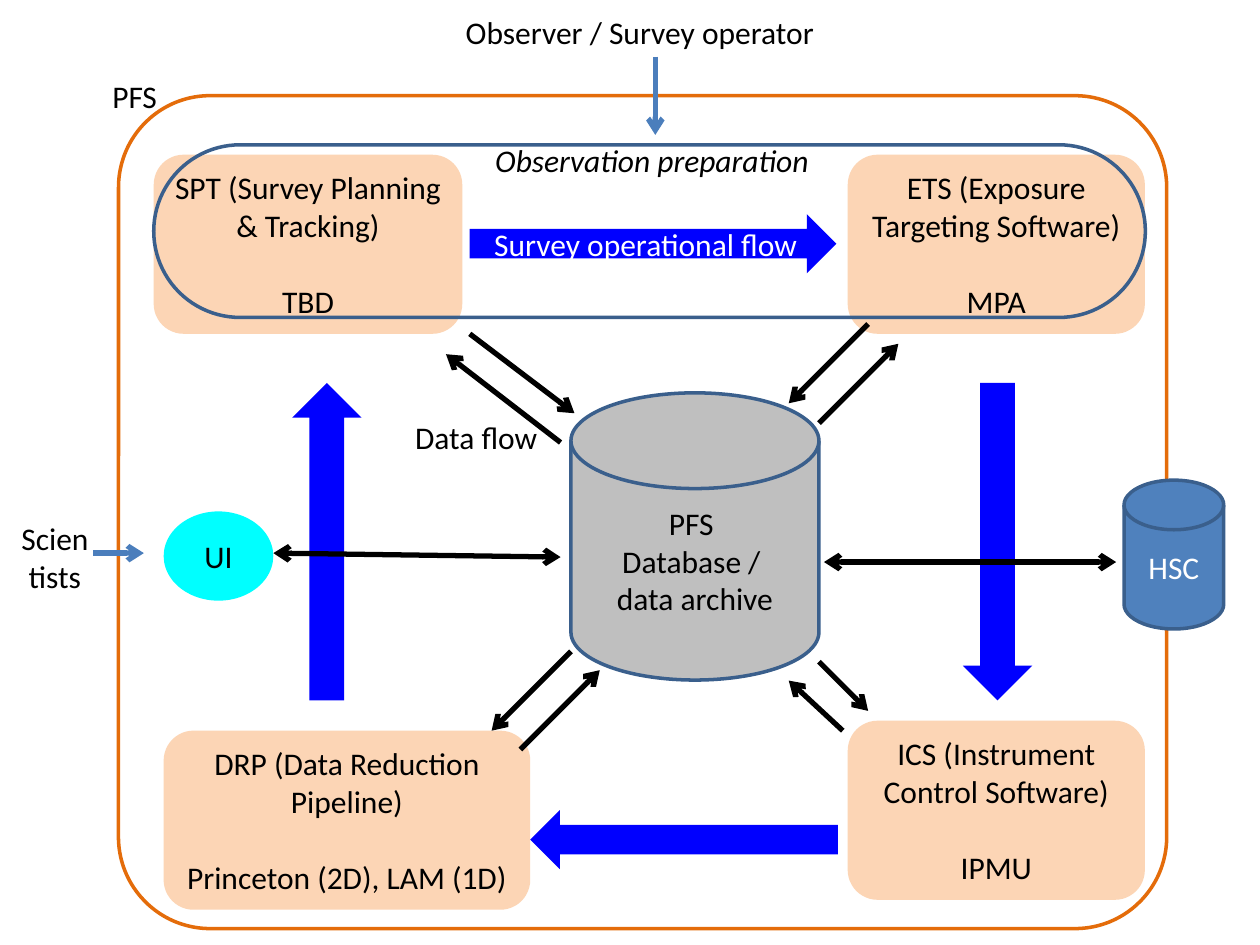
from dataclasses import dataclass
from typing import Optional

from lxml import etree
from pptx import Presentation
from pptx.dml.color import RGBColor
from pptx.enum import shapes, text
from pptx.oxml import ns
from pptx.util import Cm, Pt

BLACK = RGBColor(0x00, 0x00, 0x00)
WHITE = RGBColor(0xFF, 0xFF, 0xFF)
ORANGE = RGBColor(0xE4, 0x6C, 0x0A)
PEACH = RGBColor(0xFC, 0xD5, 0xB5)
FLOW_BLUE = RGBColor(0x00, 0x00, 0xFF)
GREY = RGBColor(0xBF, 0xBF, 0xBF)
CYAN = RGBColor(0x00, 0xFF, 0xFF)
STEEL = RGBColor(0x4F, 0x81, 0xBD)
DARK_STEEL = RGBColor(0x3A, 0x5F, 0x8C)
LINK_BLUE = RGBColor(0x4B, 0x7E, 0xBC)

KIND = shapes.MSO_SHAPE
BOX = KIND.FLOWCHART_ALTERNATE_PROCESS
DISK = KIND.FLOWCHART_MAGNETIC_DISK


@dataclass
class Node:
    kind: shapes.MSO_SHAPE
    left: float
    top: float
    width: float
    height: float
    fill: Optional[RGBColor] = None
    line: Optional[RGBColor] = None
    lines: tuple[str, ...] = ()
    color: RGBColor = BLACK
    gap: float = 0
    corner: Optional[float] = None


@dataclass
class Link:
    start: tuple[float, float]
    end: tuple[float, float]
    color: RGBColor = BLACK
    both_ways: bool = False


@dataclass
class Label:
    words: str
    left: float
    top: float
    width: float
    height: float = 1.02
    italic: bool = False


def module(left: float, top: float, width: float, name: str, owner: str) -> Node:
    return Node(BOX, left, top, width, 3.61, PEACH, lines=(name, owner), gap=22)


NODES = [
    Node(KIND.ROUNDED_RECTANGLE, 2.39, 1.93, 21.13, 16.79, line=ORANGE, corner=0.11),
    module(3.1, 3.12, 6.22, "SPT (Survey Planning & Tracking)", "TBD"),
    module(17.09, 3.12, 5.99, "ETS (Exposure Targeting Software)", "MPA"),
    module(17.09, 14.53, 5.99, "ICS (Instrument Control Software)", "IPMU"),
    module(3.3, 14.73, 7.39, "DRP (Data Reduction Pipeline)", "Princeton (2D), LAM (1D)"),
    Node(KIND.RIGHT_ARROW, 9.47, 4.32, 7.39, 1.19, FLOW_BLUE,
         lines=("Survey operational flow",), color=WHITE),
    Node(KIND.LEFT_ARROW, 10.69, 16.33, 6.2, 1.19, FLOW_BLUE),
    Node(KIND.DOWN_ARROW, 19.41, 7.72, 1.4, 6.4, FLOW_BLUE),
    Node(KIND.UP_ARROW, 5.89, 7.72, 1.4, 6.4, FLOW_BLUE),
    Node(DISK, 11.51, 7.92, 5, 5.79, GREY, DARK_STEEL,
         ("PFS ", "Database / ", "data archive")),
    Node(KIND.OVAL, 3.3, 10.31, 2.21, 1.8, CYAN, lines=("UI",)),
    Node(DISK, 22.66, 9.68, 2.01, 3, STEEL, DARK_STEEL, ("HSC",), WHITE),
    Node(KIND.ROUNDED_RECTANGLE, 3.1, 2.92, 19.99, 3.48, line=DARK_STEEL, corner=0.5),
]

LINKS = [
    Link((9.47, 6.73), (11.58, 8.33)),
    Link((11.3, 8.92), (8.99, 7.14)),
    Link((17.5, 6.53), (15.9, 8.13)),
    Link((16.51, 8.53), (18.11, 6.93)),
    Link((16.51, 13.34), (17.5, 14.33)),
    Link((16.99, 14.73), (15.9, 13.72)),
    Link((11.51, 13.13), (9.91, 14.73)),
    Link((10.49, 15.11), (12.09, 13.51)),
    Link((5.51, 11.15), (11.3, 11.23), both_ways=True),
    Link((16.61, 11.33), (22.5, 11.33), both_ways=True),
    Link((13.21, 1.14), (13.21, 2.72), LINK_BLUE),
    Link((1.88, 11.15), (2.9, 11.15), LINK_BLUE),
]

LABELS = [
    Label("Observer / Survey operator", 8.1, 0.13, 9.6),
    Label("Scientists", 0.1, 10.34, 2.01, 1.8),
    Label("Observation preparation", 9.45, 2.72, 7.39, italic=True),
    Label("Data flow", 8.1, 8.31, 3),
    Label("PFS", 1.93, 1.42, 1.57),
]


def write(frame, *lines: str, color: RGBColor = BLACK, italic: bool = False,
          gap: float = 0, anchor=text.MSO_ANCHOR.MIDDLE) -> None:
    frame.word_wrap = True
    frame.vertical_anchor = anchor
    for index, words in enumerate(lines):
        paragraph = frame.add_paragraph() if index else frame.paragraphs[0]
        paragraph.alignment = text.PP_ALIGN.CENTER
        paragraph.space_before = Pt(gap if index else 0)
        run = paragraph.add_run()
        run.text = words
        run.font.name = "Calibri"
        run.font.size = Pt(18)
        run.font.italic = italic
        run.font.color.rgb = color


def draw_node(slide, node: Node) -> None:
    shape = slide.shapes.add_shape(
        node.kind, Cm(node.left), Cm(node.top), Cm(node.width), Cm(node.height))
    shape.shadow.inherit = False
    if node.corner is not None:
        shape.adjustments[0] = node.corner
    if node.fill is None:
        shape.fill.background()
    else:
        shape.fill.solid()
        shape.fill.fore_color.rgb = node.fill
    if node.line is None:
        shape.line.fill.background()
    else:
        shape.line.color.rgb = node.line
        shape.line.width = Pt(2)
    write(shape.text_frame, *node.lines, color=node.color, gap=node.gap)


def draw_link(slide, link: Link) -> None:
    connector = slide.shapes.add_connector(
        shapes.MSO_CONNECTOR.STRAIGHT, *map(Cm, link.start + link.end))
    connector.line.color.rgb = link.color
    connector.line.width = Pt(3)
    outline = connector.line._get_or_add_ln()
    for end in ("a:headEnd", "a:tailEnd") if link.both_ways else ("a:tailEnd",):
        etree.SubElement(outline, ns.qn(end), type="arrow")
    etree.SubElement(connector._element.spPr, ns.qn("a:effectLst"))


def draw_label(slide, label: Label) -> None:
    box = slide.shapes.add_textbox(
        Cm(label.left), Cm(label.top), Cm(label.width), Cm(label.height))
    write(box.text_frame, label.words, italic=label.italic, anchor=text.MSO_ANCHOR.TOP)


def main() -> None:
    presentation = Presentation()
    presentation.slide_width = Cm(25.4)
    presentation.slide_height = Cm(19.05)
    slide = presentation.slides.add_slide(presentation.slide_layouts[6])
    for node in NODES:
        draw_node(slide, node)
    for link in LINKS:
        draw_link(slide, link)
    for label in LABELS:
        draw_label(slide, label)
    presentation.save("out.pptx")


main()
